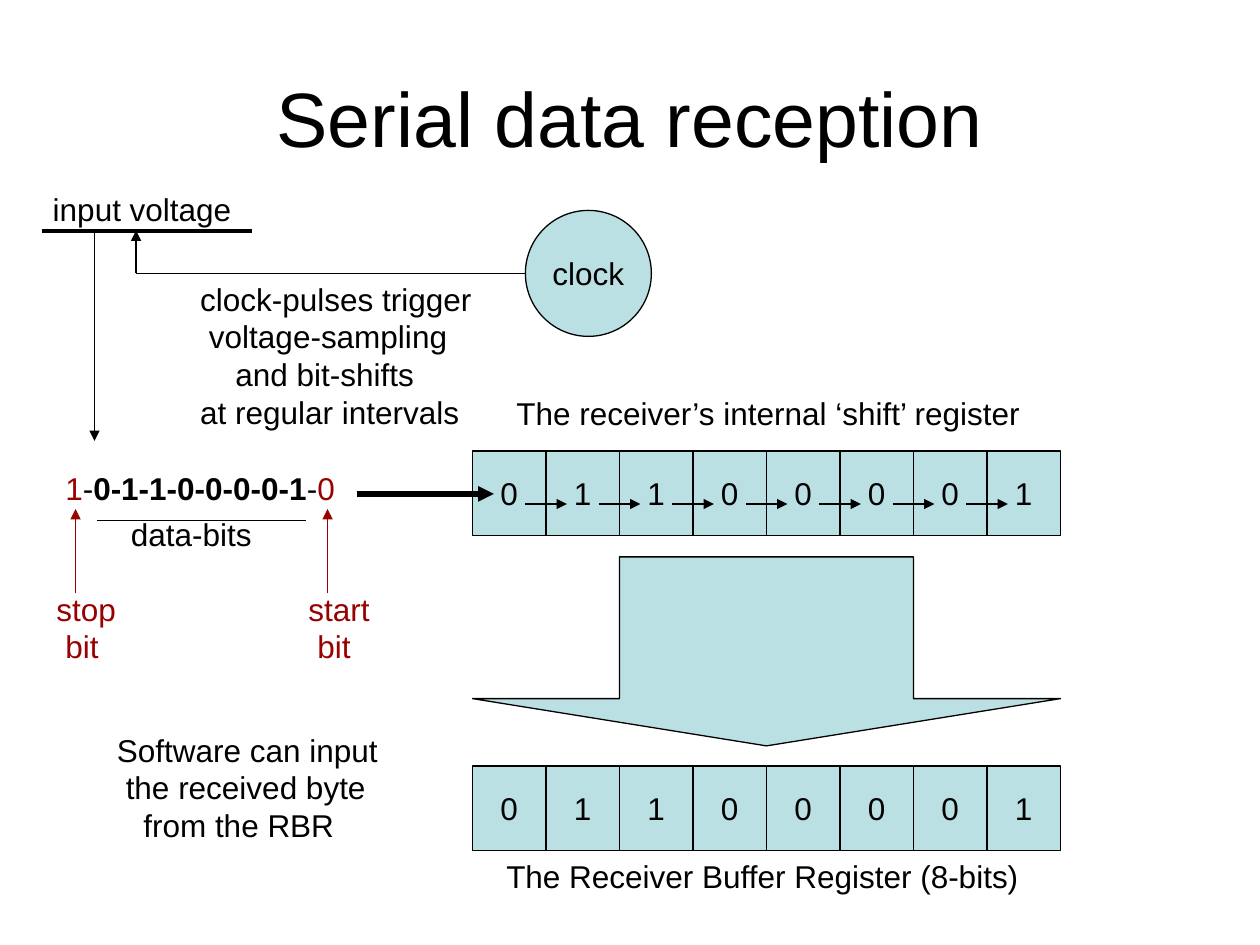
"""Build the serial data reception slide."""
from lxml import etree
from pptx import Presentation
from pptx import util as u
from pptx.dml.color import RGBColor
from pptx.enum import shapes, text
from pptx.oxml.ns import qn

COLORS = {"ink": "000000", "fill": "BBE0E3", "frame_bit": "990000"}
FONT = "Arial"
TITLE = "Serial data reception"
BITS = "01100001"
SPACE = 0.07
SLACK = 0.06

REGISTER_LEFT, CELL_WIDTH, CELL_HEIGHT = 3.75, 7 / 12, 0.67
SHIFT_TOP, BUFFER_TOP = 3.58, 6.08

LABELS = [
    ((0.32, 1.46, 1.62, 0.4), [(0, "input voltage")], "ink"),
    ((1.42, 2.17, 2.42, 1.3), [(1, "clock-pulses trigger"), (2, "voltage-sampling"),
                               (5, "and bit-shifts"), (1, "at regular intervals")], "ink"),
    ((4, 3.08, 4.2, 0.4), [(0, "The receiver’s internal ‘shift’ register")], "ink"),
    ((2.35, 4.63, 0.68, 0.7), [(0, "start"), (1, "bit")], "frame_bit"),
    ((0.35, 4.63, 0.67, 0.7), [(0, "stop"), (1, "bit")], "frame_bit"),
    ((0.94, 4.04, 1.16, 0.4), [(0, "data-bits")], "ink"),
    ((3.92, 6.75, 4.27, 0.4), [(0, "The Receiver Buffer Register (8-bits)")], "ink"),
    ((0.83, 5.75, 2.27, 1.3), [(0, "Software can input"), (1, "the received byte"),
                               (3, "from the RBR")], "ink"),
]
FRAME_BOX = (0.42, 3.67, 2.34, 0.4)
FRAME_RUNS = [("1", "frame_bit", False), ("-", "ink", False),
              ("0-1-1-0-0-0-0-1", "ink", True), ("-", "ink", False),
              ("0", "frame_bit", False)]
LINES = [
    ((0.33, 1.83), (2, 1.83), "ink", 2.25, False),
    ((1.08, 2.17), (1.08, 1.83), "ink", 0.75, True),
    ((1.08, 2.17), (4.17, 2.17), "ink", 0.75, False),
    ((0.75, 1.83), (0.75, 3.5), "ink", 0.75, True),
    ((0.6, 4.71), (0.6, 4.04), "frame_bit", 0.75, True),
    ((2.6, 4.71), (2.6, 4.04), "frame_bit", 0.75, True),
    ((0.77, 4.13), (2.43, 4.13), "ink", 0.75, False),
    ((2.83, 3.92), (3.92, 3.92), "ink", 3, True),
]


def color(name):
    return RGBColor.from_string(COLORS[name])


def set_font(font, name, size=18):
    font.name, font.size = FONT, u.Pt(size)
    font.color.rgb = color(name)


def add_box(slide, box):
    left, top, width, height = box
    frame = slide.shapes.add_textbox(
        *map(u.Inches, (left, top, width + SLACK, height))).text_frame
    frame.word_wrap = True
    frame.auto_size = text.MSO_AUTO_SIZE.NONE
    return frame


def add_label(slide, box, lines, name):
    frame = add_box(slide, box)
    for index, (spaces, words) in enumerate(lines):
        paragraph = frame.add_paragraph() if index else frame.paragraphs[0]
        paragraph.text = words
        if spaces:
            paragraph._p.get_or_add_pPr().set("marL", str(u.Inches(spaces * SPACE)))
        set_font(paragraph.font, name)


def add_shape(slide, kind, box, words=""):
    shape = slide.shapes.add_shape(kind, *map(u.Inches, box))
    shape.shadow.inherit = False
    shape.fill.solid()
    shape.fill.fore_color.rgb = color("fill")
    shape.line.color.rgb = color("ink")
    shape.line.width = u.Pt(0.75)
    if words:
        frame = shape.text_frame
        frame.word_wrap = False
        frame.vertical_anchor = text.MSO_ANCHOR.MIDDLE
        paragraph = frame.paragraphs[0]
        paragraph.text = words
        paragraph.alignment = text.PP_ALIGN.CENTER
        set_font(paragraph.font, "ink")
    return shape


def add_line(slide, start, end, name="ink", width=0.75, arrow=True):
    line = slide.shapes.add_connector(
        shapes.MSO_CONNECTOR.STRAIGHT, *map(u.Inches, start + end))
    line.line.color.rgb = color(name)
    line.line.width = u.Pt(width)
    if arrow:
        etree.SubElement(line.line._get_or_add_ln(), qn("a:tailEnd"), type="triangle")
    etree.SubElement(line._element.spPr, qn("a:effectLst"))


def add_register(slide, top):
    for index, bit in enumerate(BITS):
        left = REGISTER_LEFT + index * CELL_WIDTH
        add_shape(slide, shapes.MSO_SHAPE.RECTANGLE,
                  (left, top, CELL_WIDTH, CELL_HEIGHT), bit)


def main():
    presentation = Presentation()
    presentation.slide_width, presentation.slide_height = u.Inches(10), u.Inches(7.5)
    slide = presentation.slides.add_slide(presentation.slide_layouts[5])

    title = slide.shapes.title
    title.left, title.top, title.width, title.height = map(u.Inches, (0.5, 0.3, 9, 1.25))
    title.text_frame.text = TITLE
    title.text_frame.vertical_anchor = text.MSO_ANCHOR.MIDDLE
    title.text_frame.paragraphs[0].alignment = text.PP_ALIGN.CENTER
    set_font(title.text_frame.paragraphs[0].font, "ink", 44)

    add_shape(slide, shapes.MSO_SHAPE.OVAL, (4.17, 1.67, 1, 1), "clock")
    add_register(slide, SHIFT_TOP)
    for index in range(len(BITS) - 1):
        left = REGISTER_LEFT + 0.42 + index * CELL_WIDTH
        add_line(slide, (left, 4), (left + 0.33, 4))

    transfer = add_shape(slide, shapes.MSO_SHAPE.DOWN_ARROW,
                         (REGISTER_LEFT, 4.42, len(BITS) * CELL_WIDTH, 1.5))
    transfer.adjustments[0], transfer.adjustments[1] = 0.5, 0.25
    add_register(slide, BUFFER_TOP)

    for line in LINES:
        add_line(slide, *line)
    for label in LABELS:
        add_label(slide, *label)

    paragraph = add_box(slide, FRAME_BOX).paragraphs[0]
    for words, name, bold in FRAME_RUNS:
        run = paragraph.add_run()
        run.text = words
        run.font.bold = bold
        set_font(run.font, name)

    presentation.save("out.pptx")


if __name__ == "__main__":
    main()
